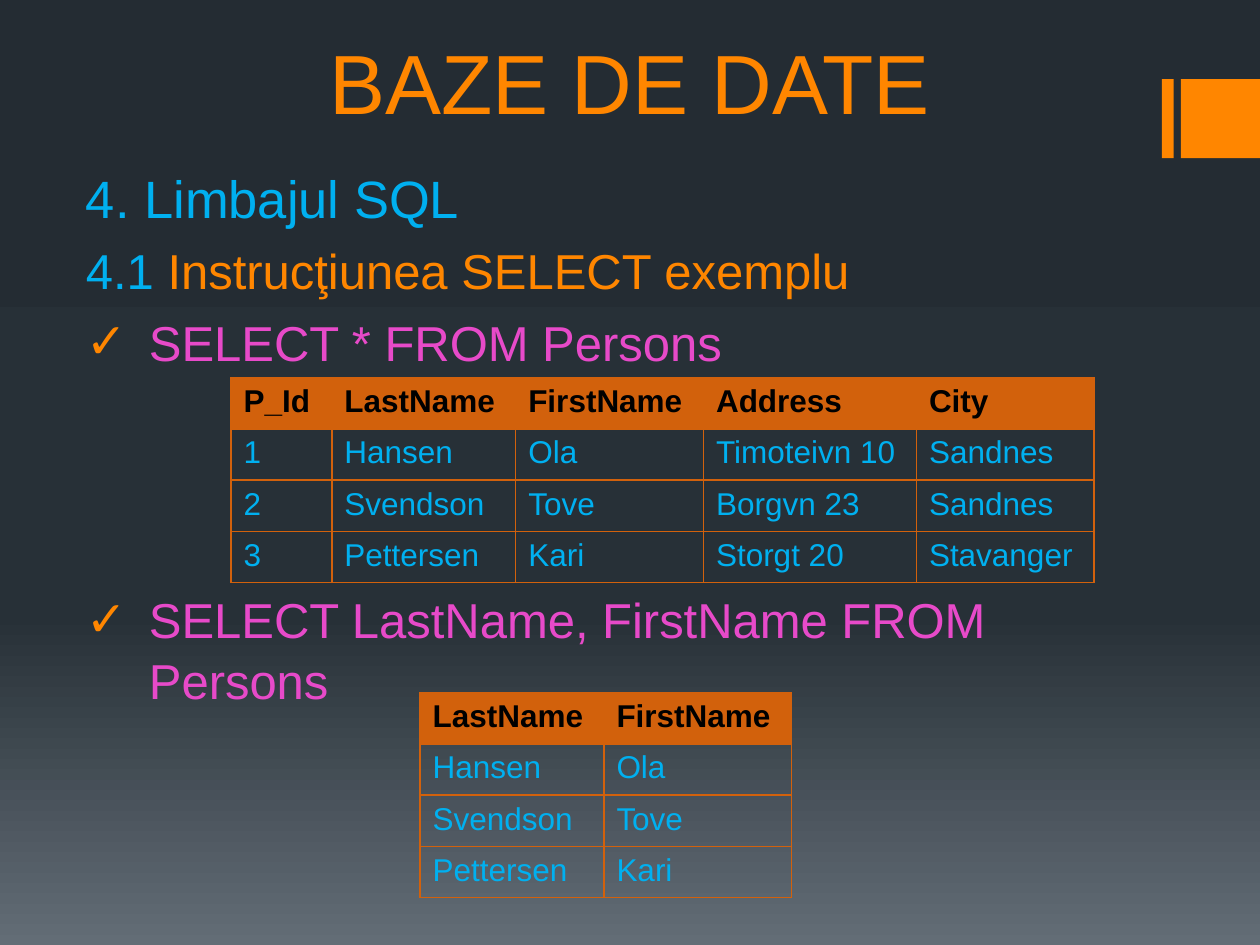
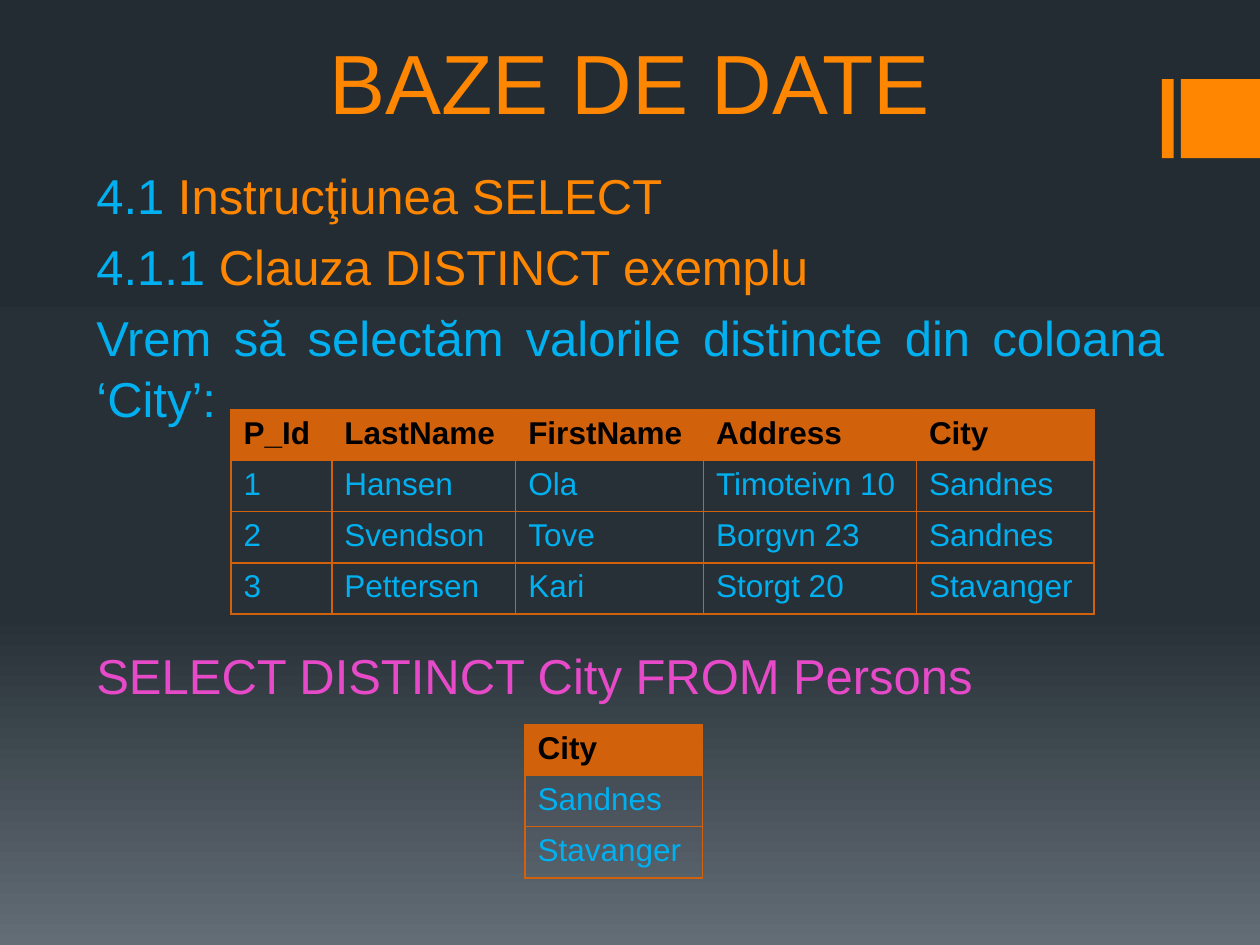
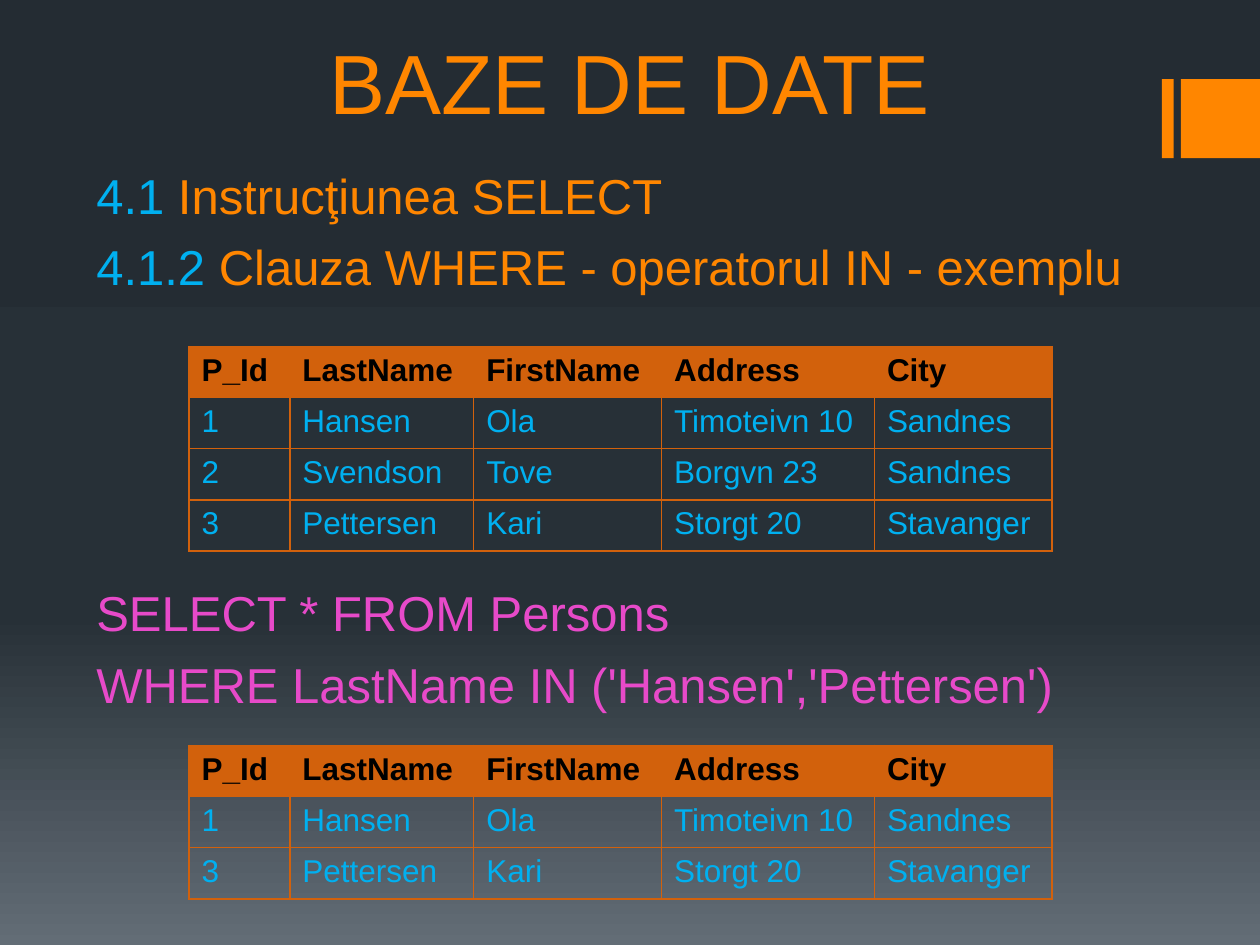
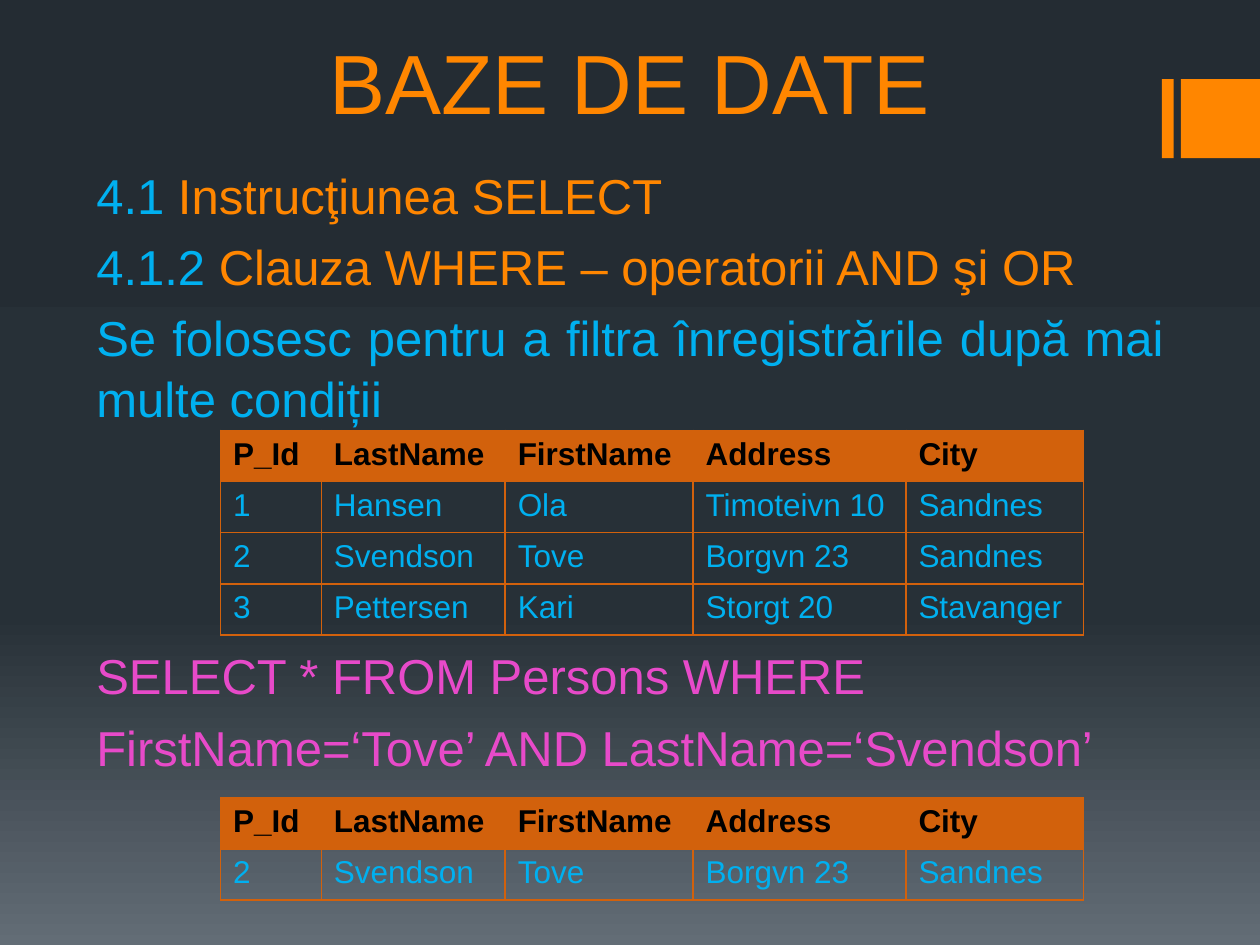
from copy import deepcopy

from lxml import etree
from pptx import Presentation
from pptx import util as u
from pptx.dml.color import RGBColor
from pptx.enum import shapes, text
from pptx.oxml.ns import qn

Pt = u.Pt

# Colours
ORANGE = RGBColor(0xFF, 0x86, 0x00)
BLUE = RGBColor(0x00, 0xB0, 0xF0)
PINK = RGBColor(0xE7, 0x4A, 0xC9)
RUST = RGBColor(0xD2, 0x61, 0x0C)
BLACK = RGBColor(0x00, 0x00, 0x00)
BACKGROUND = [(0, RGBColor(0x24, 0x2C, 0x33)),
              (0.65, RGBColor(0x27, 0x30, 0x37)),
              (1, RGBColor(0x63, 0x6D, 0x76))]

# Type and measures, in points
FONT = "Arial"
TITLE_SIZE, HEAD_SIZE, BODY_SIZE, CELL_SIZE = 48, 30, 28, 18
LINE_SPACING = 1.03
PARA_GAP = 6.1
PARA_PITCH = 39.3
BULLET_INDENT = 36
ROW_HEIGHT = 29.2
COLUMN_WIDTH = {"P_Id": 57.6, "LastName": 105.1, "FirstName": 107.3,
                "Address": 121.7, "City": 101.5}

LEFT, JUSTIFY = text.PP_ALIGN.LEFT, text.PP_ALIGN.JUSTIFY

# The Persons table and results selected from it
FIELDS = list(COLUMN_WIDTH)
HANSEN = ["1", "Hansen", "Ola", "Timoteivn 10", "Sandnes"]
SVENDSON = ["2", "Svendson", "Tove", "Borgvn 23", "Sandnes"]
PETTERSEN = ["3", "Pettersen", "Kari", "Storgt 20", "Stavanger"]
PERSONS = [HANSEN, SVENDSON, PETTERSEN]


class Deck:
    """Holds the shared style and the current slide."""

    def __init__(self):
        self.prs = Presentation()
        self.prs.slide_width, self.prs.slide_height = Pt(720), Pt(540)
        self.s = None

    def slide(self):
        self.s = self.prs.slides.add_slide(self.prs.slide_layouts[6])
        self.background()
        self.band(663.9, 6.8)
        self.band(674.8, 45.2)
        tf = self.text_box(54, 0, 612, 78.5)
        tf.vertical_anchor = text.MSO_ANCHOR.BOTTOM
        p = tf.paragraphs[0]
        p.alignment = text.PP_ALIGN.CENTER
        self.run(p, "BAZE DE DATE", ORANGE, TITLE_SIZE)

    def background(self):
        fill = self.s.background.fill
        fill.gradient()
        fill.gradient_angle = 270
        first = fill.gradient_stops[0]._gs
        first.addnext(deepcopy(first))
        for stop, (position, color) in zip(fill.gradient_stops, BACKGROUND):
            stop.position = position
            stop.color.rgb = color

    def band(self, x, width):
        sp = self.s.shapes.add_shape(shapes.MSO_SHAPE.RECTANGLE,
                                     Pt(x), Pt(45.2), Pt(width), Pt(45.2))
        sp.shadow.inherit = False
        sp.fill.solid()
        sp.fill.fore_color.rgb = ORANGE
        sp.line.fill.background()

    def text_box(self, x, y, width, height):
        tf = self.s.shapes.add_textbox(Pt(x), Pt(y), Pt(width), Pt(height)).text_frame
        tf.word_wrap = True
        return tf

    def run(self, p, words, color, size, bold=False):
        r = p.add_run()
        r.text = words
        r.font.name, r.font.size, r.font.bold = FONT, Pt(size), bold
        r.font.color.rgb = color

    def body(self, lines, x=48, width=624):
        """Each line is a dict: runs, and optionally size, align, skip, bullet."""
        tf = self.text_box(x, 90, width, 402)
        for i, line in enumerate(lines):
            p = tf.add_paragraph() if i else tf.paragraphs[0]
            p.alignment = line.get("align", JUSTIFY)
            p.line_spacing = LINE_SPACING
            # skip leaves room for a table, counted in text lines
            p.space_before = Pt(round(PARA_GAP + line.get("skip", 0) * PARA_PITCH, 2))
            if line.get("bullet"):
                self.bullet(p)
            for words, color in line["runs"]:
                self.run(p, words, color, line.get("size", BODY_SIZE))

    def bullet(self, p):
        pPr = p._p.get_or_add_pPr()
        pPr.set("marL", str(Pt(BULLET_INDENT)))
        pPr.set("indent", str(-Pt(BULLET_INDENT)))
        color = etree.SubElement(pPr, qn("a:buClr"))
        etree.SubElement(color, qn("a:srgbClr"), val=str(ORANGE))
        etree.SubElement(pPr, qn("a:buFont"), typeface=FONT)
        etree.SubElement(pPr, qn("a:buChar"), char="✓")

    def table(self, x, y, fields, records):
        rows = [fields] + records
        widths = [COLUMN_WIDTH[name] for name in fields]
        frame = self.s.shapes.add_table(len(rows), len(fields), Pt(x), Pt(y),
                                        Pt(sum(widths)), Pt(ROW_HEIGHT * len(rows)))
        tbl = frame.table
        tbl.horz_banding = False
        for column, width in zip(tbl.columns, widths):
            column.width = Pt(width)
        for i, values in enumerate(rows):
            tbl.rows[i].height = Pt(ROW_HEIGHT)
            for j, value in enumerate(values):
                self.cell(tbl.cell(i, j), value, header=i == 0)

    def cell(self, cell, value, header):
        self.borders(cell)
        if header:
            cell.fill.solid()
            cell.fill.fore_color.rgb = RUST
        else:
            cell.fill.background()
        self.run(cell.text_frame.paragraphs[0], value,
                 BLACK if header else BLUE, CELL_SIZE, bold=header)

    def borders(self, cell):
        tcPr = cell._tc.get_or_add_tcPr()
        for side in ("lnL", "lnR", "lnT", "lnB"):
            ln = etree.SubElement(tcPr, qn("a:" + side), w=str(Pt(1)))
            fill = etree.SubElement(ln, qn("a:solidFill"))
            etree.SubElement(fill, qn("a:srgbClr"), val=str(RUST))


def heading(number, words, **options):
    return dict(runs=[(number + " ", BLUE), (words, ORANGE)], **options)


def note(words):
    return dict(runs=[(words, BLUE)])


def query(words, **options):
    return dict(runs=[(words, PINK)], **options)


def main():
    deck = Deck()
    select = heading("4.1", "Instrucţiunea SELECT")

    # Slide 1: SELECT
    deck.slide()
    deck.body([
        dict(runs=[("4. Limbajul SQL", BLUE)], size=HEAD_SIZE, align=LEFT),
        heading("4.1", "Instrucţiunea SELECT exemplu"),
        query("SELECT * FROM Persons", bullet=True),
        query("SELECT LastName, FirstName FROM Persons",
              bullet=True, skip=3, align=LEFT),
    ], x=42, width=630)
    deck.table(132, 216, FIELDS, PERSONS)
    deck.table(240, 396, FIELDS[1:3], [person[1:3] for person in PERSONS])

    # Slide 2: DISTINCT
    deck.slide()
    deck.body([
        select,
        heading("4.1.1", "Clauza DISTINCT exemplu"),
        note("Vrem să selectăm valorile distincte din coloana ‘City’:"),
        query("SELECT DISTINCT City FROM Persons", skip=3),
    ])
    deck.table(132, 234, FIELDS, PERSONS)
    deck.table(300, 414, ["City"], [["Sandnes"], ["Stavanger"]])

    # Slide 3: WHERE with IN
    deck.slide()
    deck.body([
        select,
        heading("4.1.2", "Clauza WHERE - operatorul IN - exemplu", align=LEFT),
        query("SELECT * FROM Persons", skip=4, align=LEFT),
        query("WHERE LastName IN ('Hansen','Pettersen')", align=LEFT),
    ])
    deck.table(108, 198, FIELDS, PERSONS)
    deck.table(108, 426, FIELDS, [HANSEN, PETTERSEN])

    # Slide 4: WHERE with AND and OR
    deck.slide()
    deck.body([
        select,
        heading("4.1.2", "Clauza WHERE – operatorii AND şi OR"),
        note("Se folosesc pentru a filtra înregistrările după mai multe condiții"),
        query("SELECT * FROM Persons WHERE", skip=3),
        query("FirstName=‘Tove’ AND LastName=‘Svendson’"),
    ])
    deck.table(126, 246, FIELDS, PERSONS)
    deck.table(126, 456, FIELDS, [SVENDSON])

    deck.prs.save("out.pptx")


if __name__ == "__main__":
    main()
